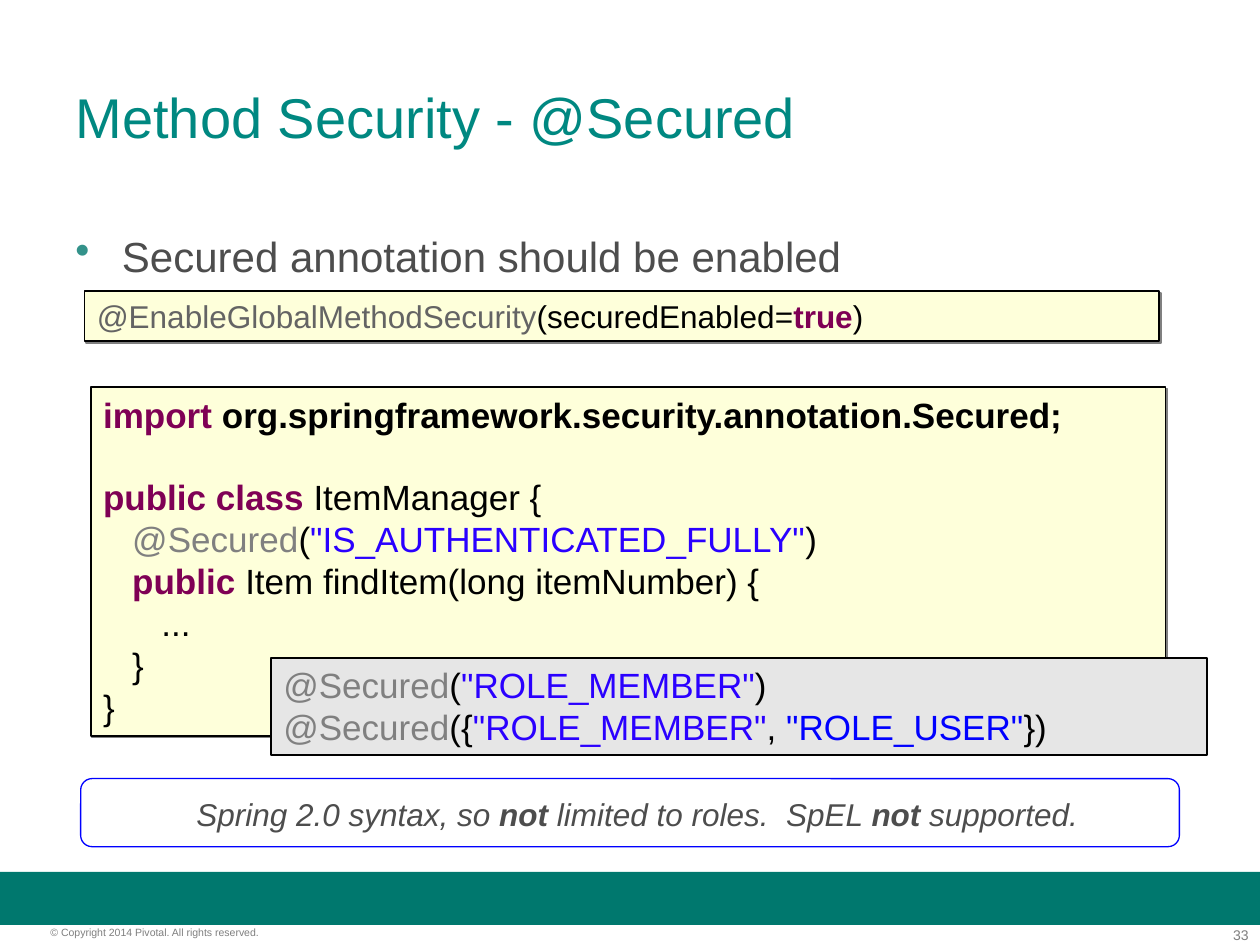
import pptx
import pptx.util
import pptx.dml.color
import pptx.enum.shapes
import pptx.enum.text
import pptx.oxml
import pptx.oxml.ns
from pptx.util import Inches

COLORS = {
    "band": "00786E", "title": "008881", "bullet": "33928A", "body": "4D4D4D",
    "footer": "7F7F7F", "code": "000000", "keyword": "7F0055",
    "annotation": "808080", "enable": "646464", "string": "2A00FF",
    "blue": "0000FF", "yellow": "FEFFDA", "grey": "E6E6E6",
    "white": "FFFFFF", "shadow": "808080",
}
BOLD = {"bold": True}
ITALIC = {"italic": True}
SHAPES = pptx.enum.shapes.MSO_SHAPE
ALIGN = pptx.enum.text.PP_ALIGN

# Content: each line is a list of (text, color name, optional format)
TITLE = [[("Method Security - @Secured", "title")]]
BULLET = [[("Secured annotation should be enabled", "body")]]
ENABLE_CODE = [[
    ("@EnableGlobalMethodSecurity", "enable"), ("(securedEnabled=", "code"),
    ("true", "keyword", BOLD), (")", "code"),
]]
CLASS_CODE = [
    [("import", "keyword", BOLD),
     (" org.springframework.security.annotation.Secured;", "code", BOLD)],
    [("public class", "keyword", BOLD), (" ItemManager {", "code")],
    [("   @Secured", "annotation"), ("(", "code"),
     ('"IS_AUTHENTICATED_FULLY"', "string"), (")", "code")],
    [("   public", "keyword", BOLD),
     (" Item findItem(long itemNumber) {", "code")],
    [("      ...", "code")],
    [("   }", "code")],
    [("}", "code")],
]
ROLE_CODE = [
    [("@Secured", "annotation"), ("(", "code"),
     ('"ROLE_MEMBER"', "string"), (")", "code")],
    [("@Secured", "annotation"), ("({", "code"), ('"ROLE_MEMBER"', "string"),
     (", ", "code"), ('"ROLE_USER"', "blue"), ("})", "code")],
]
NOTE = [[
    ("Spring 2.0 syntax, so ", "body", ITALIC),
    ("not", "body", BOLD | ITALIC),
    (" limited to roles.  SpEL ", "body", ITALIC),
    ("not", "body", BOLD | ITALIC),
    (" supported.", "body", ITALIC),
]]
COPYRIGHT = [[("© Copyright 2014 Pivotal. All rights reserved.", "footer")]]
PAGE_NUMBER = [[("33", "footer")]]

# Code boxes: lines, text size, fill, position, shadow, line after a gap
CODE_BOXES = [
    (ENABLE_CODE, 18, "yellow", (0.67, 2.31, 8.53, 0.4), True, None),
    (CLASS_CODE, 20, "yellow", (0.72, 3.07, 8.53, 2.77), True, 1),
    (ROLE_CODE, 20, "grey", (2.15, 5.22, 7.43, 0.77), False, None),
]


def rgb(name):
    return pptx.dml.color.RGBColor.from_string(COLORS[name])


def write_text(shape, lines, size, align=ALIGN.LEFT, anchor="TOP",
               margins=(0.1, 0.05), gap_before=None):
    frame = shape.text_frame
    frame.word_wrap = True
    frame.vertical_anchor = getattr(pptx.enum.text.MSO_ANCHOR, anchor)
    frame.margin_left = frame.margin_right = Inches(margins[0])
    frame.margin_top = frame.margin_bottom = Inches(margins[1])
    for index, line in enumerate(lines):
        paragraph = frame.add_paragraph() if index else frame.paragraphs[0]
        paragraph.alignment = align
        if index and index == gap_before:
            paragraph.space_before = pptx.util.Pt(size * 1.15)
        for text, color, *style in line:
            run = paragraph.add_run()
            run.text = text
            run.font.name = "Arial"
            run.font.size = pptx.util.Pt(size)
            run.font.color.rgb = rgb(color)
            for name, value in (style[0] if style else {}).items():
                setattr(run.font, name, value)
    return frame


def add_text(slide, position, lines, size, **text_format):
    box = slide.shapes.add_textbox(*map(Inches, position))
    return write_text(box, lines, size, **text_format)


def add_box(slide, position, fill, line=None, width=1, kind=SHAPES.RECTANGLE):
    shape = slide.shapes.add_shape(kind, *map(Inches, position))
    shape.shadow.inherit = False
    shape.fill.solid()
    shape.fill.fore_color.rgb = rgb(fill)
    if line:
        shape.line.color.rgb = rgb(line)
        shape.line.width = pptx.util.Pt(width)
    else:
        shape.line.fill.background()
    return shape


def add_shadow(shape):
    effects = shape.element.spPr.find(pptx.oxml.ns.qn("a:effectLst"))
    effects.append(pptx.oxml.parse_xml(
        f'<a:outerShdw {pptx.oxml.ns.nsdecls("a")} blurRad="0" '
        f'dist="{pptx.util.Pt(1.4)}" dir="2700000" algn="tl" rotWithShape="0">'
        f'<a:srgbClr val="{COLORS["shadow"]}"/></a:outerShdw>'))


def add_bullet(paragraph, indent):
    properties = paragraph._p.get_or_add_pPr()
    properties.set("marL", str(Inches(indent)))
    properties.set("indent", str(-Inches(indent)))
    declaration = pptx.oxml.ns.nsdecls("a")
    properties.append(pptx.oxml.parse_xml(
        f'<a:buClr {declaration}><a:srgbClr val="{COLORS["bullet"]}"/></a:buClr>'))
    properties.append(pptx.oxml.parse_xml(f'<a:buChar {declaration} char="•"/>'))


def main():
    presentation = pptx.Presentation()
    presentation.slide_width = Inches(10)
    presentation.slide_height = Inches(7.5)
    slide = presentation.slides.add_slide(presentation.slide_layouts[5])

    # Footer
    add_box(slide, (0, 6.92, 10, 0.42), "band")
    add_text(slide, (9.33, 7.35, 0.58, 0.13), PAGE_NUMBER, 8,
             align=ALIGN.RIGHT, margins=(0, 0))
    add_text(slide, (0.4, 7.35, 2.49, 0.1), COPYRIGHT, 6, margins=(0, 0))

    # Title and bullet
    title = slide.shapes.title
    title.left, title.top, title.width, title.height = map(
        Inches, (0.5, 0.3, 9, 1.25))
    write_text(title, TITLE, 32, anchor="MIDDLE")
    body = add_text(slide, (0.5, 1.78, 9, 0.5), BULLET, 24)
    add_bullet(body.paragraphs[0], 0.37)

    # Code boxes
    for lines, size, fill, position, shadow, gap_before in CODE_BOXES:
        box = add_box(slide, position, fill, "code")
        if shadow:
            add_shadow(box)
        write_text(box, lines, size, gap_before=gap_before)

    # Note
    add_box(slide, (0.64, 6.18, 8.72, 0.54), "white", "blue", 0,
            SHAPES.ROUNDED_RECTANGLE)
    add_text(slide, (1.46, 6.26, 7.59, 0.4), NOTE, 18)

    presentation.save("out.pptx")


if __name__ == "__main__":
    main()
